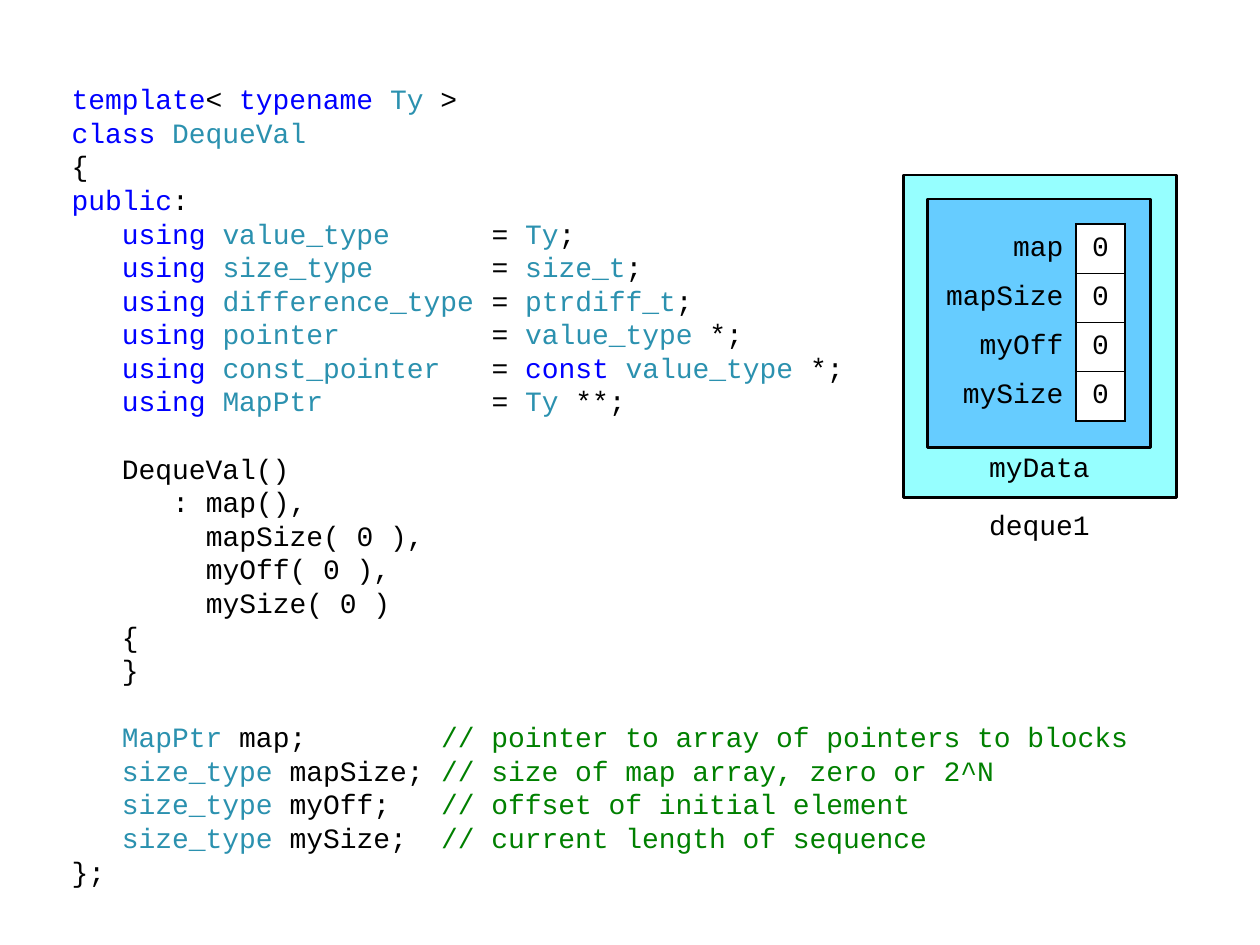
import pptx
import pptx.dml.color
import pptx.enum.shapes
import pptx.enum.text
import pptx.oxml
import pptx.oxml.ns
import pptx.util
from lxml import etree

Inches = pptx.util.Inches
Pt = pptx.util.Pt
RGBColor = pptx.dml.color.RGBColor
ALIGN = pptx.enum.text.PP_ALIGN
ANCHOR = pptx.enum.text.MSO_ANCHOR
qn = pptx.oxml.ns.qn

BLACK = RGBColor(0x00, 0x00, 0x00)
WHITE = RGBColor(0xFF, 0xFF, 0xFF)
KEYWORD = RGBColor(0x00, 0x00, 0xFF)
TYPE = RGBColor(0x2B, 0x91, 0xAF)
COMMENT = RGBColor(0x00, 0x80, 0x00)
CYAN = RGBColor(0x96, 0xFF, 0xFF)
SKY = RGBColor(0x66, 0xCC, 0xFF)

NO_STYLE = "{2D5ABB26-0587-4C30-8999-92F81FD0307C}"
CHARACTER = 0.6 * 16 / 72
LINE = Pt(19.2)

ALIASES = [
    ("value_type", [("Ty", TYPE), (";", BLACK)]),
    ("size_type", [("size_t", TYPE), (";", BLACK)]),
    ("difference_type", [("ptrdiff_t", TYPE), (";", BLACK)]),
    ("pointer", [("value_type", TYPE), (" *;", BLACK)]),
    ("const_pointer", [("const ", KEYWORD), ("value_type", TYPE), (" *;", BLACK)]),
    ("MapPtr", [("Ty", TYPE), (" **;", BLACK)]),
]
MEMBERS = [
    ("MapPtr", "map", "pointer to array of pointers to blocks"),
    ("size_type", "mapSize", "size of map array, zero or 2^N"),
    ("size_type", "myOff", "offset of initial element"),
    ("size_type", "mySize", "current length of sequence"),
]
CONSTRUCTOR = [
    (3, "DequeVal()"), (6, ": map(),"), (8, "mapSize( 0 ),"),
    (8, "myOff( 0 ),"), (8, "mySize( 0 )"), (3, "{"), (3, "}"),
]


class SlideWriter:
    """Draws code, boxes, labels and field tables on one slide in a shared style."""

    def __init__(self, page, font="Courier New", size=Pt(16)):
        self.page = page
        self.font = font
        self.size = size

    def style(self, para, align=ALIGN.LEFT):
        para.alignment = align
        para.font.name = self.font
        para.font.size = self.size
        para.font.color.rgb = BLACK

    def text_box(self, left, top, width, height, margins):
        box = self.page.shapes.add_textbox(
            Inches(left), Inches(top), Inches(width), Inches(height))
        frame = box.text_frame
        frame.word_wrap = True
        (frame.margin_left, frame.margin_top,
         frame.margin_right, frame.margin_bottom) = map(Inches, margins)
        return frame

    def code(self, left, top, width, height, lines):
        frame = self.text_box(left, top, width, height, (0.1, 0.05, 0.1, 0.05))
        for index, (stops, gap, spans) in enumerate(lines):
            para = frame.paragraphs[0] if index == 0 else frame.add_paragraph()
            self.style(para)
            para.line_spacing = LINE
            para.space_before = LINE if gap else Pt(0)
            self.tab_stops(para, stops)
            for text, color in spans:
                span = para.add_run()
                span.text = text
                span.font.name = self.font
                span.font.size = self.size
                span.font.color.rgb = color

    def tab_stops(self, para, columns):
        if not columns:
            return
        tabs = etree.Element(qn("a:tabLst"))
        for column in columns:
            etree.SubElement(tabs, qn("a:tab"),
                             pos=str(Inches(column * CHARACTER)), algn="l")
        properties = para._p.get_or_add_pPr()
        properties.find(qn("a:defRPr")).addprevious(tabs)

    def box(self, left, top, width, height, fill):
        shape = self.page.shapes.add_shape(
            pptx.enum.shapes.MSO_SHAPE.FLOWCHART_PROCESS,
            Inches(left), Inches(top), Inches(width), Inches(height))
        shape.shadow.inherit = False
        shape.fill.solid()
        shape.fill.fore_color.rgb = fill
        shape.line.color.rgb = BLACK
        shape.line.width = Pt(1.5)

    def label(self, left, top, width, height, text, margin_top, anchor):
        frame = self.text_box(left, top, width, height, (0.08, margin_top, 0.08, 0))
        frame.vertical_anchor = anchor
        para = frame.paragraphs[0]
        para.text = text
        self.style(para, ALIGN.CENTER)

    def fields(self, left, top, widths, row_height, rows):
        frame = self.page.shapes.add_table(
            len(rows), len(widths), Inches(left), Inches(top),
            Inches(sum(widths)), Inches(row_height * len(rows)))
        table = frame.table
        table.first_row = table.horz_banding = False
        table._tbl.tblPr.find(qn("a:tableStyleId")).text = NO_STYLE
        for column, width in zip(table.columns, widths):
            column.width = Inches(width)
        last = len(rows) - 1
        for index, (name, value) in enumerate(rows):
            table.rows[index].height = Inches(row_height)
            name_cell, value_cell = table.cell(index, 0), table.cell(index, 1)
            self.cell(name_cell, name, ALIGN.RIGHT, 0.1, {"R": 1.5})
            name_cell.fill.background()
            self.cell(value_cell, value, ALIGN.CENTER, 0, {
                "L": 1.5, "R": 1.5,
                "T": 1.5 if index == 0 else 0.75,
                "B": 1.5 if index == last else 0.75})
            value_cell.fill.solid()
            value_cell.fill.fore_color.rgb = WHITE

    def cell(self, cell, text, align, margin, borders):
        cell.vertical_anchor = ANCHOR.MIDDLE
        cell.margin_left = cell.margin_right = Inches(margin)
        cell.margin_top = cell.margin_bottom = Inches(0.04)
        para = cell.text_frame.paragraphs[0]
        para.text = text
        self.style(para, align)
        properties = cell._tc.get_or_add_tcPr()
        for side, width in borders.items():
            line = etree.SubElement(properties, qn("a:ln" + side), w=str(Pt(width)))
            fill = etree.SubElement(line, qn("a:solidFill"))
            etree.SubElement(fill, qn("a:srgbClr"), val=str(BLACK))


def code_lines():
    lines = [
        ([], False, [("template", KEYWORD), ("< ", BLACK), ("typename ", KEYWORD),
                     ("Ty", TYPE), (" >", BLACK)]),
        ([], False, [("class ", KEYWORD), ("DequeVal", TYPE)]),
        ([], False, [("{", BLACK)]),
        ([], False, [("public", KEYWORD), (":", BLACK)]),
    ]
    for name, target in ALIASES:
        lines.append(([3, 25], False, [("\tusing ", KEYWORD), (name, TYPE),
                                       ("\t= ", BLACK), *target]))
    for index, (column, text) in enumerate(CONSTRUCTOR):
        lines.append(([column], index == 0, [("\t" + text, BLACK)]))
    for index, (kind, name, note) in enumerate(MEMBERS):
        lines.append(([3, 22], index == 0, [("\t" + kind, TYPE), (f" {name};\t", BLACK),
                                            ("// " + note, COMMENT)]))
    lines.append(([], False, [("};", BLACK)]))
    return lines


def main():
    deck = pptx.Presentation()
    deck.slide_width, deck.slide_height = Inches(10), Inches(7.5)
    writer = SlideWriter(deck.slides.add_slide(deck.slide_layouts[6]))
    writer.code(0.47, 0.6, 9.06, 6.5, code_lines())
    writer.box(7.17, 1.39, 2.17, 2.56, CYAN)
    writer.box(7.36, 1.58, 1.77, 1.97, SKY)
    writer.label(7.56, 3.95, 1.38, 0.39, "deque1", 0.04, ANCHOR.MIDDLE)
    writer.label(7.76, 3.55, 0.98, 0.39, "myData", 0.02, ANCHOR.TOP)
    writer.fields(7.36, 1.78, (1.18, 0.39), 0.39,
                  [(name, "0") for _, name, _ in MEMBERS])
    deck.save("out.pptx")


if __name__ == "__main__":
    main()
